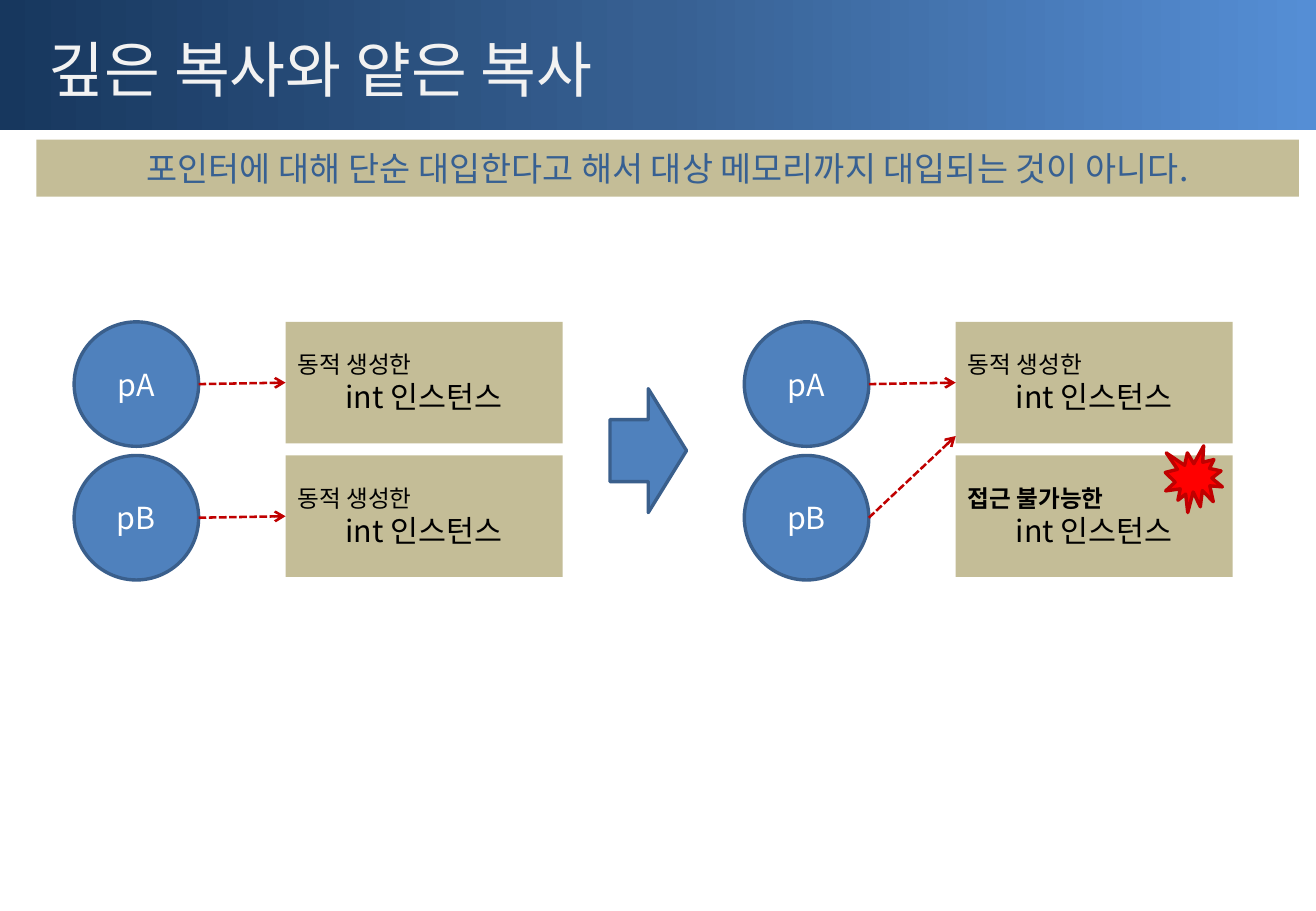
import copy

import pptx
import pptx.dml.color
import pptx.enum.dml
import pptx.enum.shapes
import pptx.enum.text
import pptx.oxml
import pptx.oxml.ns
import pptx.util

RGBColor = pptx.dml.color.RGBColor
Inches = pptx.util.Inches
Pt = pptx.util.Pt
Shape = pptx.enum.shapes.MSO_SHAPE
Align = pptx.enum.text.PP_ALIGN
Anchor = pptx.enum.text.MSO_ANCHOR
qn = pptx.oxml.ns.qn

# Content
TITLE = "깊은 복사와 얕은 복사"
MESSAGE = "포인터에 대해 단순 대입한다고 해서 대상 메모리까지 대입되는 것이 아니다."
INSTANCE = "int 인스턴스"
# Each state: rows of (pointer, note, note is bold, height where its arrow ends)
STATES = [
    [("pA", "동적 생성한", False, 0.5), ("pB", "동적 생성한", False, 0.5)],
    [("pA", "동적 생성한", False, 0.5), ("pB", "접근 불가능한", True, -0.16)],
]

# Style
FONT = "Noto Sans CJK KR"
BLACK = RGBColor(0x00, 0x00, 0x00)
WHITE = RGBColor(0xFF, 0xFF, 0xFF)
TITLE_COLOR = RGBColor(0xF2, 0xF2, 0xF2)
NAVY = RGBColor(0x17, 0x37, 0x5E)
STEEL = RGBColor(0x37, 0x60, 0x92)
SKY = RGBColor(0x55, 0x8E, 0xD5)
TAN = RGBColor(0xC4, 0xBD, 0x97)
BLUE = RGBColor(0x4F, 0x81, 0xBD)
BLUE_EDGE = RGBColor(0x3A, 0x5F, 0x8C)
RED = RGBColor(0xFF, 0x00, 0x00)
DARK_RED = RGBColor(0xC0, 0x00, 0x00)

# Grid in inches
WIDTH, HEIGHT = 10.83, 7.5
MARGIN = 0.3
GRID_LEFT, GRID_TOP = 0.61, 2.65
STATE_STEP, ROW_STEP = 5.515, 1.1
CIRCLE = 1.025
BOX_OFFSET, BOX_WIDTH, BOX_HEIGHT = 1.74, 2.28, 1.0


def add_child(parent, tag, **attributes):
    child = parent.makeelement(qn(tag), attributes)
    parent.append(child)
    return child


def place(shape, left, top, width, height):
    shape.left, shape.top = Inches(left), Inches(top)
    shape.width, shape.height = Inches(width), Inches(height)


def format_text(paragraph, size, color, align, bold=False):
    paragraph.alignment = align
    for run in paragraph.runs:
        run.font.name = FONT
        run.font.size = Pt(size)
        run.font.bold = bold
        run.font.color.rgb = color
        add_child(run._r.get_or_add_rPr(), "a:ea", typeface=FONT)


def add_figure(kind, left, top, width, height, fill=None, edge=None):
    shape = slide.shapes.add_shape(
        kind, Inches(left), Inches(top), Inches(width), Inches(height))
    shape.shadow.inherit = False
    if fill is not None:
        shape.fill.solid()
        shape.fill.fore_color.rgb = fill
    if edge is None:
        shape.line.fill.background()
    else:
        shape.line.color.rgb = edge
        shape.line.width = Pt(2)
    return shape


def add_arrow(x1, y1, x2, y2):
    arrow = slide.shapes.add_connector(
        pptx.enum.shapes.MSO_CONNECTOR.STRAIGHT,
        Inches(x1), Inches(y1), Inches(x2), Inches(y2))
    arrow.line.color.rgb = DARK_RED
    arrow.line.width = Pt(1.5)
    arrow.line.dash_style = pptx.enum.dml.MSO_LINE.SQUARE_DOT
    add_child(arrow.line._get_or_add_ln(), "a:tailEnd", type="arrow")
    add_child(arrow._element.spPr, "a:effectLst")


presentation = pptx.Presentation()
presentation.slide_width = Inches(WIDTH)
presentation.slide_height = Inches(HEIGHT)
slide = presentation.slides.add_slide(presentation.slide_layouts[1])
title, message = slide.placeholders

# Header band with a three-stop gradient, behind the title
band = add_figure(Shape.RECTANGLE, 0, 0, WIDTH, 1.07)
band.fill.gradient()
band.fill.gradient_angle = 0
stop_list = band.fill._fill._gradFill.gsLst
stop_list.insert(1, copy.deepcopy(stop_list[0]))
for stop, position, color in zip(
        band.fill.gradient_stops, (0, 0.5, 1), (NAVY, STEEL, SKY)):
    stop.position = position
    stop.color.rgb = color
slide.shapes._spTree.insert(2, band._element)

# Title and message
place(title, MARGIN, 0.13, WIDTH - 0.44, 0.87)
place(message, MARGIN, 1.15, WIDTH - 0.44, 0.47)
for placeholder, text, size, color, align in (
        (title, TITLE, 36, TITLE_COLOR, Align.LEFT),
        (message, MESSAGE, 20, STEEL, Align.CENTER)):
    frame = placeholder.text_frame
    frame.text = text
    frame.auto_size = pptx.enum.text.MSO_AUTO_SIZE.NONE
    frame.vertical_anchor = Anchor.MIDDLE
    format_text(frame.paragraphs[0], size, color, align)
message.fill.solid()
message.fill.fore_color.rgb = TAN
message_paragraph = message.text_frame.paragraphs[0]
message_paragraph.space_before = Pt(4)
properties = message_paragraph._p.get_or_add_pPr()
properties.set("marL", str(Inches(0.38)))
properties.set("indent", str(Inches(-0.38)))
add_child(properties, "a:buNone")

# Pointers and instances before and after the assignment
for column, rows in enumerate(STATES):
    left = GRID_LEFT + column * STATE_STEP
    box_left = left + BOX_OFFSET
    for row, (pointer, note, bold, target) in enumerate(rows):
        top = GRID_TOP + row * ROW_STEP

        box = add_figure(Shape.RECTANGLE, box_left, top, BOX_WIDTH, BOX_HEIGHT, TAN)
        box.text_frame.text = note + "\n" + INSTANCE
        box.text_frame.vertical_anchor = Anchor.MIDDLE
        note_paragraph, instance_paragraph = box.text_frame.paragraphs
        format_text(note_paragraph, 14, BLACK, Align.LEFT, bold)
        format_text(instance_paragraph, 18, BLACK, Align.CENTER)

        circle = add_figure(Shape.OVAL, left, top, CIRCLE, CIRCLE, BLUE, BLUE_EDGE)
        circle.text_frame.text = pointer
        circle.text_frame.vertical_anchor = Anchor.MIDDLE
        format_text(circle.text_frame.paragraphs[0], 18, WHITE, Align.CENTER)

        add_arrow(left + CIRCLE, top + CIRCLE / 2, box_left, top + target * BOX_HEIGHT)

# Transition arrow and leak marker
add_figure(Shape.RIGHT_ARROW, 5.02, 3.2, 0.63, 1.02, BLUE, BLUE_EDGE)
add_figure(Shape.EXPLOSION1, 9.59, 3.67, 0.47, 0.55, RED, DARK_RED)

presentation.save("out.pptx")
